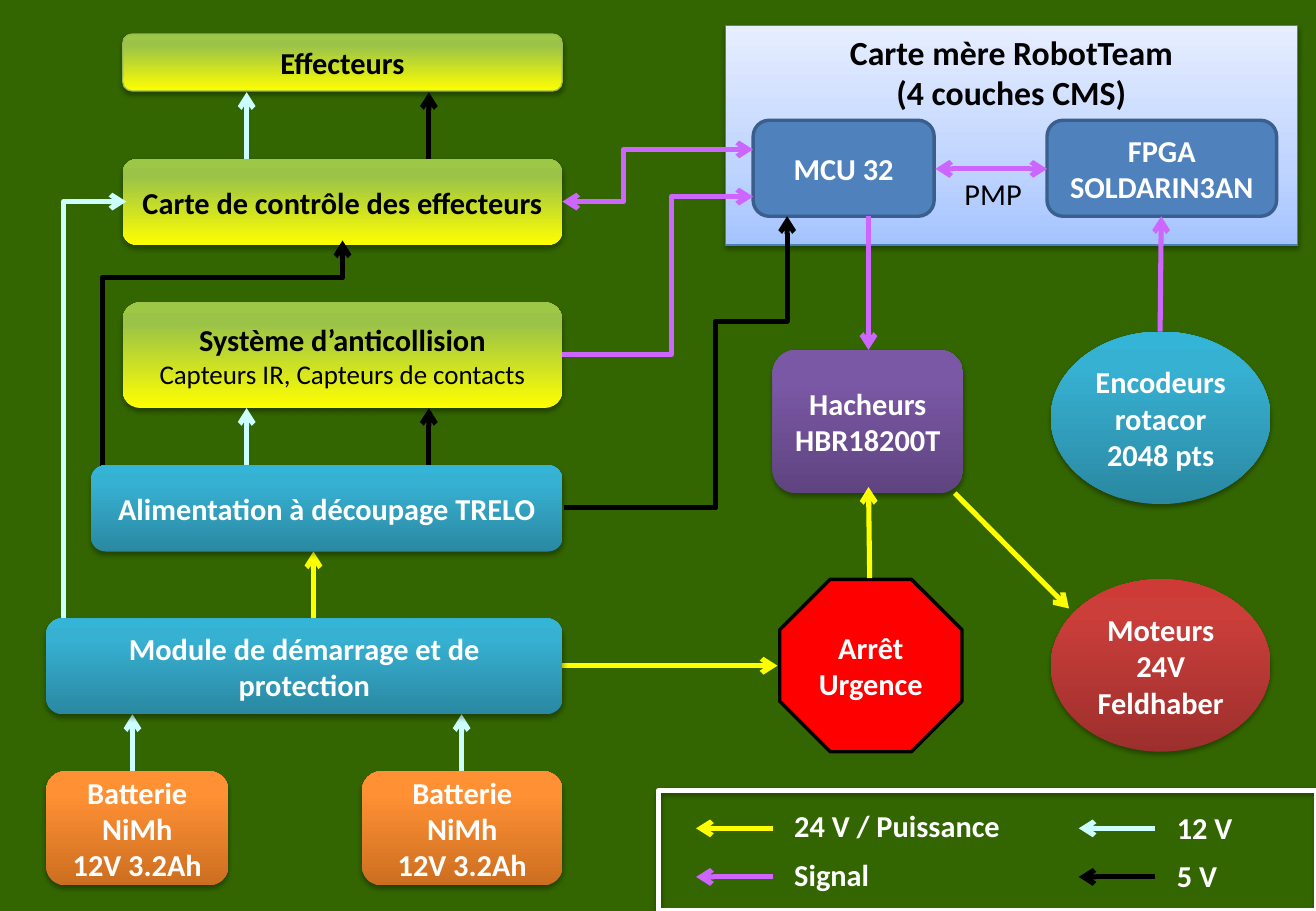
from copy import deepcopy

from lxml.etree import SubElement
from pptx import Presentation
from pptx.dml.color import RGBColor
from pptx.enum.shapes import MSO_CONNECTOR, MSO_SHAPE
from pptx.enum.text import MSO_ANCHOR, PP_ALIGN
from pptx.oxml.ns import qn
from pptx.util import Pt

color = RGBColor.from_string
YELLOW, VIOLET, PALE, BLACK, WHITE = "FFFF00", "CC66FF", "CCFFFF", "000000", "FFFFFF"

# Gradient stops from bottom to top: position, colour
LIME = [(0, YELLOW), (80, "9BC348"), (100, "9DC746")]
TEAL = [(0, "2A88A2"), (80, "37B1D2"), (100, "34B4D6")]
PURPLE = [(0, "5F4480"), (80, "7B58A6"), (100, "7C57A8")]
RED = [(0, "9C2F2D"), (80, "CB3E3A"), (100, "CE3B37")]
ORANGE = [(0, "CC6E20"), (80, "FF9034"), (100, "FF9136")]
SKY = [(0, "A4C4FF"), (35, "BFD4FF"), (100, "E6EEFF")]
ROUNDED, OVAL = MSO_SHAPE.ROUNDED_RECTANGLE, MSO_SHAPE.OVAL

presentation = Presentation()
presentation.slide_width, presentation.slide_height = Pt(780), Pt(540)
slide = presentation.slides.add_slide(presentation.slide_layouts[6])
slide.background.fill.solid()
slide.background.fill.fore_color.rgb = color("336600")


def write_text(shape, text, ink=WHITE, sizes=(18,), bold=True, align=PP_ALIGN.CENTER,
               anchor=MSO_ANCHOR.MIDDLE, gap=0):
    """Write one paragraph per line; a second size marks a plain subtitle."""
    frame = shape.text_frame
    frame.word_wrap = True
    frame.vertical_anchor = anchor
    frame.text = text
    for number, paragraph in enumerate(frame.paragraphs):
        paragraph.alignment = align
        paragraph.space_after = Pt(gap)
        font = paragraph.runs[0].font
        font.name = "Calibri"
        font.size = Pt(sizes[min(number, len(sizes) - 1)])
        font.bold = bold and (number == 0 or len(sizes) == 1)
        font.color.rgb = color(ink)


def add_box(kind, bounds, fill, line=None, shadow=True):
    """Add a shape with a plain colour, a gradient or no fill."""
    shape = slide.shapes.add_shape(kind, *map(Pt, bounds))
    shape.shadow.inherit = False
    properties = shape._element.spPr
    if fill is None:
        shape.fill.background()
    elif isinstance(fill, str):
        shape.fill.solid()
        shape.fill.fore_color.rgb = color(fill)
    else:
        shape.fill.gradient()
        shape.fill.gradient_angle = 90
        stop_list = properties.find(qn("a:gradFill")).find(qn("a:gsLst"))
        stop_list.append(deepcopy(stop_list[0]))
        for stop, (position, shade) in zip(shape.fill.gradient_stops, fill):
            stop.position = position / 100
            stop.color.rgb = color(shade)
    if line:
        shape.line.color.rgb = color(line[0])
        shape.line.width = Pt(line[1])
    else:
        shape.line.fill.background()
    if shadow:
        outer = SubElement(properties.find(qn("a:effectLst")), qn("a:outerShdw"),
                           blurRad=str(Pt(3.1)), dist=str(Pt(1.8)), dir="5400000",
                           rotWithShape="0")
        black = SubElement(outer, qn("a:srgbClr"), val=BLACK)
        SubElement(black, qn("a:alpha"), val="35000")
    return shape


# Motherboard
motherboard = add_box(MSO_SHAPE.RECTANGLE, (430, 15, 339, 130.3), SKY, ("4B7EBC", 0.75))
write_text(motherboard, "Carte mère RobotTeam\n(4 couches CMS)", ink=BLACK, sizes=(20,),
           anchor=MSO_ANCHOR.TOP)
for left, width, text in ((446.4, 107.3, "MCU 32"), (620.6, 136.1, "FPGA\nSOLDARIN3AN")):
    chip = add_box(ROUNDED, (left, 71.3, width, 56.9), "4F81BD", ("3A5F8C", 2), shadow=False)
    write_text(chip, text)
bus_label = slide.shapes.add_textbox(Pt(560.2), Pt(100.1), Pt(56.9), Pt(29))
write_text(bus_label, "PMP", ink=BLACK, bold=False, anchor=MSO_ANCHOR.TOP)

# Effectors and sensors
for top, height, text, line in (
        (20.2, 33.8, "Effecteurs", ("98B955", 0.75)),
        (94.3, 51.1, "Carte de contrôle des effecteurs", None),
        (179.3, 62.6, "Système d’anticollision\nCapteurs IR, Capteurs de contacts", None)):
    box = add_box(ROUNDED, (72.7, top, 260.6, height), LIME, line)
    write_text(box, text, ink=BLACK, sizes=(18, 16) if "\n" in text else (18,))

# Drive chain
for kind, bounds, fill, text in (
        (ROUNDED, (457.9, 207.4, 113, 85), PURPLE, "Hacheurs\nHBR18200T"),
        (OVAL, (622.8, 343.4, 130.3, 102.2), RED, "Moteurs 24V\nFeldhaber"),
        (OVAL, (622.8, 196.6, 130.3, 102.2), TEAL, "Encodeurs rotacor\n2048 pts")):
    write_text(add_box(kind, bounds, fill), text)
stop_button = add_box(MSO_SHAPE.OCTAGON, (462.2, 343.4, 108, 102.2), "FF0000", (BLACK, 2),
                      shadow=False)
write_text(stop_button, "Arrêt\nUrgence")

# Legend
add_box(MSO_SHAPE.RECTANGLE, (390.2, 468.7, 390, 71.3), None, (WHITE, 3))
for left, top, width, text in ((463.7, 475.2, 158.4, "24 V / Puissance\nSignal"),
                               (690.5, 475.9, 67.7, "12 V\n5 V")):
    label = slide.shapes.add_textbox(Pt(left), Pt(top), Pt(width), Pt(57.6))
    write_text(label, text, align=PP_ALIGN.LEFT, anchor=MSO_ANCHOR.TOP, gap=7.3)

# Arrows: colour, start, end, bend ratios, arrowhead at both ends
arrows = [
    (YELLOW, (515.5, 342.7), (514.8, 288.7), (), False),
    (YELLOW, (565.9, 292.3), (633.6, 360.7), (), False),
    (YELLOW, (185.8, 372.2), (185.8, 326.9), (), False),
    (YELLOW, (330.5, 394.6), (460.8, 394.6), (), False),
    (VIOLET, (687.6, 196.6), (688.3, 128.2), (), False),
    (VIOLET, (514.8, 128.2), (514.8, 207.4), (), False),
    (VIOLET, (554.4, 100.1), (620.6, 100.1), (), True),
    (VIOLET, (333.4, 210.2), (446.4, 116.6), (0.57,), False),
    (VIOLET, (446.4, 88.6), (333.4, 119.5), (0.68,), True),
    (PALE, (29.5, 394.6), (74.9, 119.5), (0.18,), False),
    (BLACK, (56.2, 301), (203, 142.6), (0.03, 0.86), False),
    (BLACK, (334.1, 301), (466.6, 128.2), (0.68, 0.64), False),
]
for x in (78.5, 273.6):
    arrows.append((PALE, (x, 460.1), (x, 423.4), (), False))
for x, shade in ((146.2, PALE), (254.2, BLACK)):
    for bottom, top in ((94.3, 54.7), (275.8, 241.9)):
        arrows.append((shade, (x, bottom), (x, top), (), False))
for x, shades in ((412.6, (YELLOW, VIOLET)), (639.4, (PALE, BLACK))):
    for y, shade in zip((491, 519.8), shades):
        arrows.append((shade, (x + 45.4, y), (x, y), (), False))

for shade, start, end, bends, both in arrows:
    kind = MSO_CONNECTOR.ELBOW if bends else MSO_CONNECTOR.STRAIGHT
    connector = slide.shapes.add_connector(kind, *map(Pt, start + end))
    connector.line.color.rgb = color(shade)
    connector.line.width = Pt(3)
    properties = connector._element.spPr
    SubElement(properties, qn("a:effectLst"))
    outline = properties.find(qn("a:ln"))
    for tip in ("a:headEnd", "a:tailEnd") if both else ("a:tailEnd",):
        SubElement(outline, qn(tip), type="arrow")
    if bends:
        geometry = properties.find(qn("a:prstGeom"))
        geometry.set("prst", f"bentConnector{len(bends) + 2}")
        guides = geometry.find(qn("a:avLst"))
        for number, ratio in enumerate(bends, 1):
            SubElement(guides, qn("a:gd"), name=f"adj{number}",
                       fmla=f"val {round(ratio * 100000)}")

# Power supply, covering the arrow starts
for bounds, fill, text in (
        ((27.4, 366.5, 306, 56.9), TEAL, "Module de démarrage et de protection"),
        ((27.4, 457.2, 108, 67.7), ORANGE, "Batterie NiMh\n12V 3.2Ah"),
        ((214.6, 457.2, 118.8, 67.7), ORANGE, "Batterie NiMh\n12V 3.2Ah"),
        ((54, 275.8, 279.4, 51.1), TEAL, "Alimentation à découpage TRELO")):
    write_text(add_box(ROUNDED, bounds, fill), text)

presentation.save("out.pptx")
